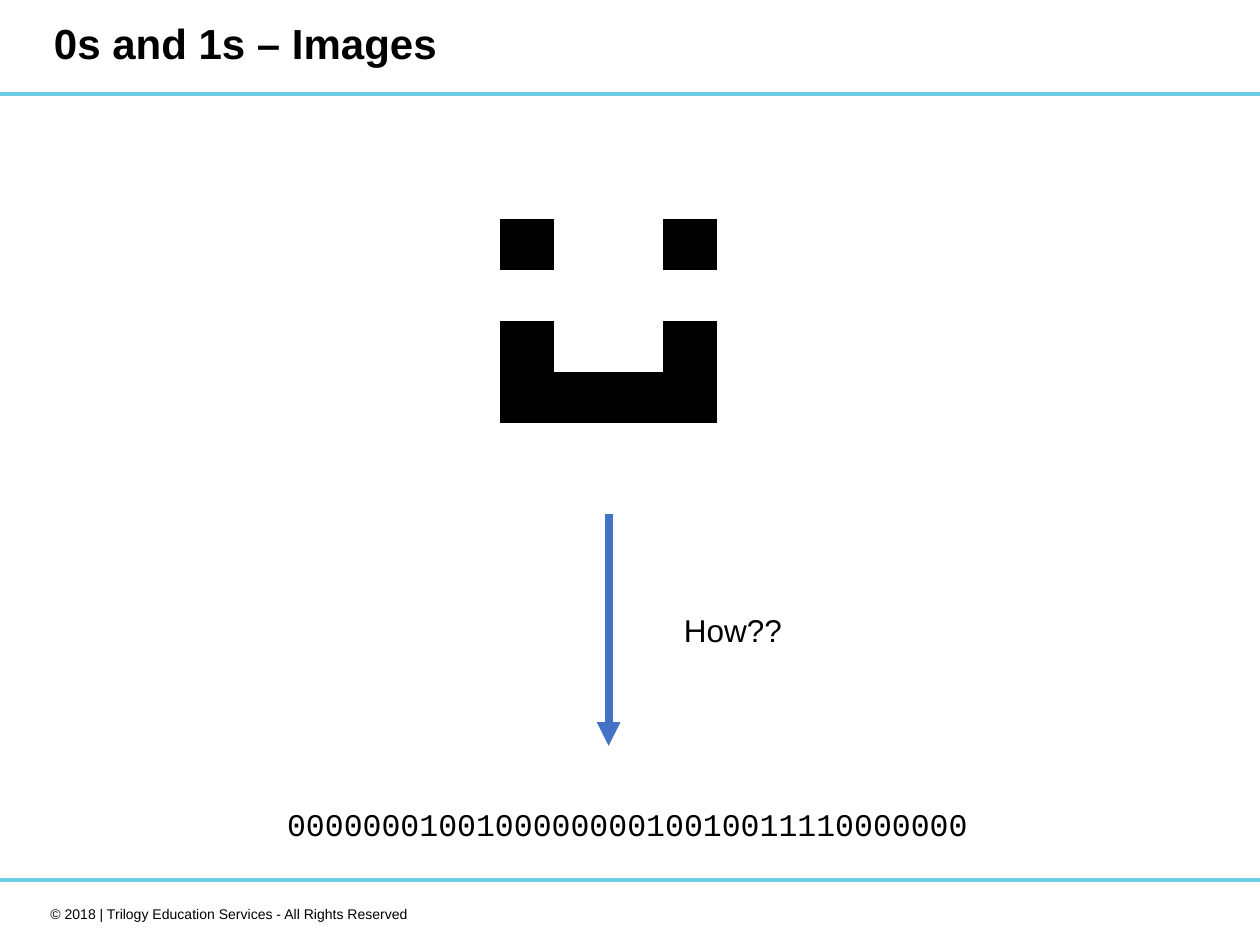
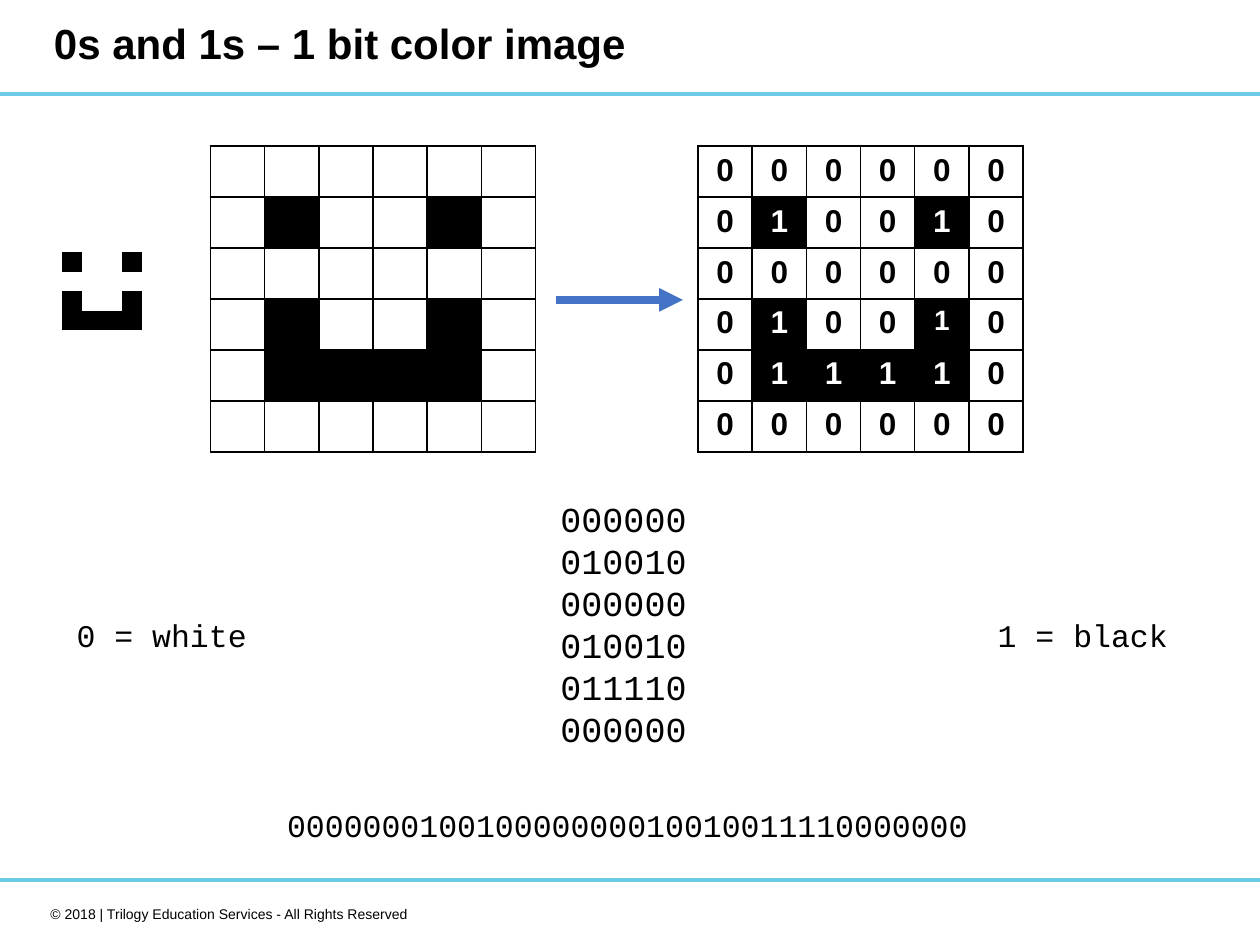
from lxml.etree import SubElement as Sub
from pptx import Presentation
from pptx.dml.color import RGBColor as RGB
from pptx.enum.shapes import MSO_CONNECTOR as Link, MSO_SHAPE as Shape
from pptx.enum.text import MSO_ANCHOR as Anchor, PP_ALIGN as Align
from pptx.oxml.ns import qn
from pptx.util import Inches, Pt

BLACK = RGB(0x00, 0x00, 0x00)
WHITE = RGB(0xFF, 0xFF, 0xFF)
CYAN = RGB(0x6C, 0xCC, 0xE6)
BLUE = RGB(0x44, 0x72, 0xC4)

COLS, ROWS = 100, 75
WIDE, HIGH = Inches(10), Inches(7.5)
SIDE = 6
BITS = "000000010010000000010010011110000000"
LINES = [BITS[i:i + SIDE] for i in range(0, len(BITS), SIDE)]
NOGRID = "{2D5ABB26-0587-4C30-8999-92F81FD0307C}"

SANS = {"name": "Arial", "size": Pt(18)}
MONO = {"name": "Courier New", "size": Pt(18)}
CODE = {**MONO, "size": Pt(20)}
HEAD = {**SANS, "size": Pt(24), "bold": True}
FOOT = {**SANS, "size": Pt(8)}
DIGIT = {**SANS, "bold": True}


def across(*cols):
    """Turn grid columns into slide lengths."""
    return [round(WIDE * c / COLS) for c in cols]


def down(*rows):
    """Turn grid rows into slide lengths."""
    return [round(HIGH * r / ROWS) for r in rows]


def place(x, y, w, h):
    """Return left, top, width and height for a grid area."""
    (left, wide), (top, high) = across(x, w), down(y, h)
    return left, top, wide, high


def style(item, looks):
    """Set each format value on an item."""
    for key, val in looks.items():
        setattr(item, key, val)


def write(para, text, font, color=BLACK, **looks):
    """Put one styled run in a paragraph."""
    style(para, looks)
    run = para.add_run()
    run.text = text
    style(run.font, font)
    run.font.color.rgb = color


def label(slide, area, lines, font, frame=None, **looks):
    """Add a text box with one paragraph per line."""
    body = slide.shapes.add_textbox(*place(*area)).text_frame
    style(body, {"word_wrap": True, **(frame or {})})
    for i, line in enumerate(lines):
        para = body.add_paragraph() if i else body.paragraphs[0]
        write(para, line, font, **looks)


def band(slide, x, y):
    """Add a thin band across the slide."""
    bar = slide.shapes.add_shape(
        Shape.FLOWCHART_PROCESS, *place(x, y, COLS + 0.1, 0.3))
    bar.shadow.inherit = False
    bar.fill.solid()
    bar.fill.fore_color.rgb = CYAN
    bar.line.fill.background()


def arrow(slide, start, end):
    """Add a thick line with a head at its end."""
    (x1, x2), (y1, y2) = across(start[0], end[0]), down(start[1], end[1])
    line = slide.shapes.add_connector(Link.STRAIGHT, x1, y1, x2, y2)
    line.line.color.rgb = BLUE
    line.line.width = Pt(4.5)
    Sub(line.line._get_or_add_ln(), qn("a:tailEnd"), type="triangle")
    Sub(line._element.spPr, qn("a:effectLst"))


def border(cell):
    """Draw a black line on all sides of a cell."""
    props = cell._tc.get_or_add_tcPr()
    for side in "LRTB":
        edge = Sub(props, qn(f"a:ln{side}"), w=str(Pt(1)))
        fill = Sub(edge, qn("a:solidFill"))
        Sub(fill, qn("a:srgbClr"), val=str(BLACK))


def paint(cell, bit):
    """Fill a cell by its bit."""
    if bit == "1":
        cell.fill.solid()
        cell.fill.fore_color.rgb = BLACK
    else:
        cell.fill.background()


def fill_in(cell, bit, small):
    """Write a bit in its cell."""
    font = {**DIGIT, "size": Pt(16)} if small else DIGIT
    color = WHITE if bit == "1" else BLACK
    write(cell.text_frame.paragraphs[0], bit, font, color,
          alignment=Align.CENTER)


def shrink(cell):
    """Let an empty cell be as low as its row."""
    style(cell, dict.fromkeys(
        ("margin_left", "margin_right", "margin_top", "margin_bottom"), 0))
    Sub(cell.text_frame.paragraphs[0]._p, qn("a:endParaRPr"), sz="400")


def face(slide, x, y, w=4.3, h=4.05, grid=False, digits=False):
    """Add the bits as a table of pixels."""
    table = slide.shapes.add_table(
        SIDE, SIDE, *place(x, y, w * SIDE, h * SIDE)).table
    style(table, {"first_row": False, "horz_banding": False})
    table._tbl.tblPr.find(qn("a:tableStyleId")).text = NOGRID
    for col in table.columns:
        col.width = across(w)[0]
    for r, line in enumerate(LINES):
        table.rows[r].height = down(h)[0]
        for c, bit in enumerate(line):
            cell = table.cell(r, c)
            if grid:
                border(cell)
            paint(cell, bit)
            if digits:
                fill_in(cell, bit, (r, c) == (3, 4))
            else:
                shrink(cell)


def base(deck, title):
    """Add a slide with its bands, footer and title."""
    slide = deck.slides.add_slide(deck.slide_layouts[6])
    band(slide, -0.1, 69.7)
    band(slide, 0, 7.3)
    label(slide, (1.7, 71.4, 31.7, 2.4),
          ["© 2018 | Trilogy Education Services - All Rights Reserved"],
          FOOT, alignment=Align.RIGHT)
    label(slide, (3.3, 0, 59.8, 7.2), [title], HEAD,
          {"vertical_anchor": Anchor.MIDDLE}, line_spacing=0.9)
    return slide


def ask(deck):
    """Build the slide that asks how a face becomes bits."""
    slide = base(deck, "0s and 1s – Images")
    face(slide, 35.4, 13.3)
    arrow(slide, (48.3, 40.8), (48.3, 59.2))
    label(slide, (21.8, 63.4, 56.5, 4), [BITS], MONO)
    label(slide, (53.3, 48, 9.9, 4), ["How??"], SANS, {"word_wrap": False})


def answer(deck):
    """Build the slide that maps pixels to bits."""
    slide = base(deck, "0s and 1s – 1 bit color image")
    face(slide, 16.7, 11.6, grid=True)
    face(slide, 55.4, 11.6, grid=True, digits=True)
    arrow(slide, (44.1, 23.8), (54.2, 23.8))
    label(slide, (43.5, 39, 13, 21.2), LINES, CODE)
    label(slide, (21.8, 63.5, 56.5, 4), [BITS], MONO)
    for x, text in ((5.1, "0 = white"), (78.2, "1 = black")):
        label(slide, (x, 48.4, 16.7, 4), [text], MONO)
    face(slide, 3.3, 18.5, 1.6, 1.54)


def main():
    """Build and save the deck."""
    deck = Presentation()
    style(deck, {"slide_width": WIDE, "slide_height": HIGH})
    ask(deck)
    answer(deck)
    deck.save("out.pptx")


if __name__ == "__main__":
    main()
